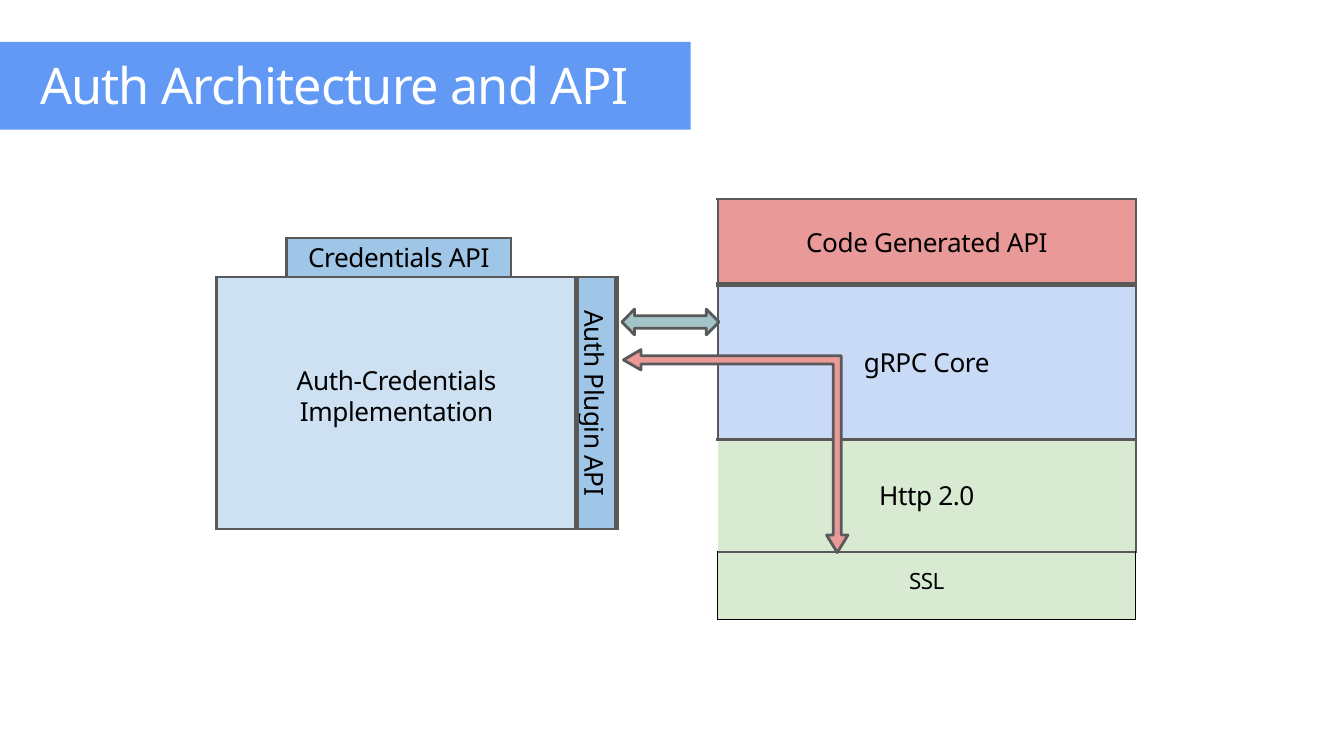
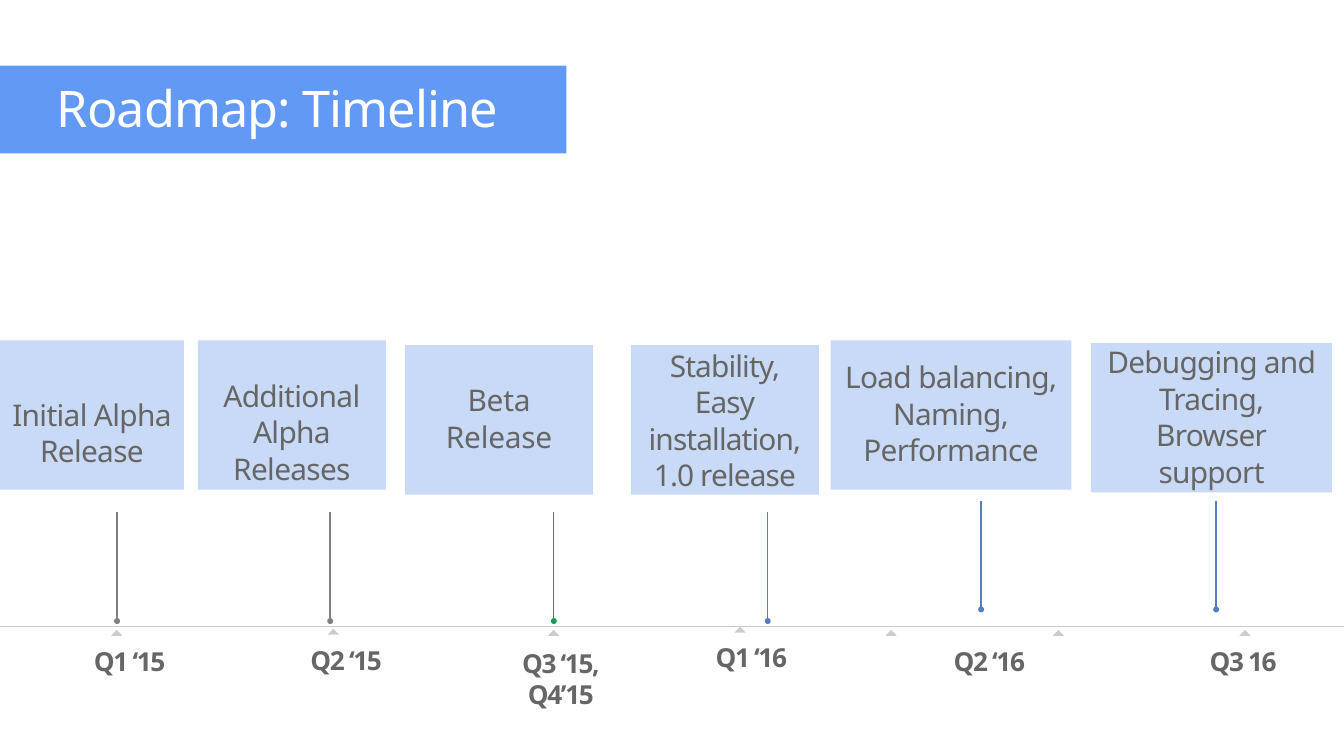
from dataclasses import dataclass

from lxml import etree
from pptx import Presentation
from pptx.dml.color import RGBColor
from pptx.enum.shapes import MSO_CONNECTOR, MSO_SHAPE
from pptx.enum.text import MSO_ANCHOR, PP_ALIGN
from pptx.oxml.ns import qn
from pptx.util import Pt

RECTANGLE, OVAL = MSO_SHAPE.RECTANGLE, MSO_SHAPE.OVAL
TRIANGLE, DOUBLE_ARROW = MSO_SHAPE.ISOSCELES_TRIANGLE, MSO_SHAPE.LEFT_RIGHT_ARROW
STRAIGHT = MSO_CONNECTOR.STRAIGHT
LEFT, CENTER = PP_ALIGN.LEFT, PP_ALIGN.CENTER
MIDDLE = MSO_ANCHOR.MIDDLE
NO_GRID_STYLE = "{2D5ABB26-0587-4C30-8999-92F81FD0307C}"


@dataclass(frozen=True)
class Theme:
    font: str = "Noto Sans"
    title_size: float = 27
    card_size: float = 16
    label_size: float = 14
    small_size: float = 12
    band: str = "4285F4"
    band_alpha: str = "83000"
    white: str = "FFFFFF"
    black: str = "000000"
    text_gray: str = "666666"
    border: str = "595959"
    axis: str = "CCCCCC"
    past: str = "808080"
    present: str = "0F9D58"
    future: str = "547DBE"
    red: str = "EA9999"
    green: str = "D9EAD3"
    teal: str = "A2C4C9"
    periwinkle: str = "C9DAF7"
    sky: str = "9FC5E7"
    pale_sky: str = "CEE1F3"


theme = Theme()


def write(frame, text, size, color, spacing, align=CENTER, bold=False, leading=None):
    """Fill a text frame; spacing is the tracking in points."""
    frame.text = text
    frame.word_wrap = True
    for paragraph in frame.paragraphs:
        paragraph.alignment = align
        if leading:
            paragraph.line_spacing = leading
        if not paragraph.runs:
            paragraph._p.get_or_add_endParaRPr().set("sz", str(int(size * 100)))
        for run in paragraph.runs:
            run.font.name = theme.font
            run.font.size = Pt(size)
            run.font.bold = bold
            run.font.color.rgb = RGBColor.from_string(color)
            run._r.get_or_add_rPr().set("spc", str(round(spacing * 100)))


def add_box(slide, kind, left, top, width, height, fill=None, line=None, weight=0.75):
    """Add a preset shape, or a plain text box if kind is None, without insets."""
    place = Pt(left), Pt(top), Pt(width), Pt(height)
    if kind is None:
        box = slide.shapes.add_textbox(*place)
    else:
        box = slide.shapes.add_shape(kind, *place)
        box.shadow.inherit = False
        box.fill.solid()
        box.fill.fore_color.rgb = RGBColor.from_string(fill)
        if line:
            box.line.color.rgb = RGBColor.from_string(line)
            box.line.width = Pt(weight)
        else:
            box.line.fill.background()
    frame = box.text_frame
    frame.margin_left = frame.margin_right = frame.margin_top = frame.margin_bottom = 0
    frame.vertical_anchor = MSO_ANCHOR.TOP
    return box


prs = Presentation()
prs.slide_width, prs.slide_height = Pt(720), Pt(405)

# Both slides with their title bands
slides = []
for title, band_top, band_width, title_left, title_top in [
    ("Auth Architecture and API", 22.5, 370, 21.5, 29),
    ("Roadmap: Timeline", 35.2, 303.5, 30.5, 41.4),
]:
    slide = prs.slides.add_slide(prs.slide_layouts[6])
    slides.append(slide)
    band = add_box(slide, RECTANGLE, 0, band_top, band_width, 47, theme.band)
    band_color = band.element.spPr.find(".//" + qn("a:srgbClr"))
    etree.SubElement(band_color, qn("a:alpha")).set("val", theme.band_alpha)
    heading = add_box(slide, None, title_left, title_top, band_width - title_left, 35)
    write(heading.text_frame, title, theme.title_size, theme.white, -0.5, LEFT)

architecture, roadmap = slides

# Architecture: the protocol stack and the credentials block
# Cell: row, column, last column, text, size, fill, bottom margin, borders by side
thin, medium, thick = (theme.border, 1.5), (theme.border, 2.25), (theme.border, 3)
hairline = (theme.black, 0.75)
stack_cells = [
    (0, 0, 0, "Code Generated API", theme.label_size, theme.red, 0,
     {"L": thin, "R": thin, "T": thin, "B": thick}),
    (1, 0, 0, "gRPC Core", theme.label_size, theme.periwinkle, 0,
     {"L": thin, "R": thin, "T": thick, "B": medium}),
    (2, 0, 0, "Http 2.0", theme.label_size, theme.green, 0,
     {"R": thin, "T": medium, "B": thin}),
    (3, 0, 0, "SSL", theme.small_size, theme.green, 5,
     {"L": hairline, "R": hairline, "T": thin, "B": hairline}),
]
credentials_cells = [
    (0, 1, 1, "Credentials API", theme.label_size, theme.sky, 0,
     {"L": thin, "R": thin, "T": thin, "B": thin}),
    (0, 2, 3, "", theme.label_size, None, 0, {"L": thin}),
    (1, 0, 2, "Auth-Credentials\vImplementation", theme.label_size, theme.pale_sky, 5,
     {"L": thin, "R": thick, "T": thin, "B": thin}),
    (1, 3, 3, "Auth Plugin API", theme.label_size, theme.sky, 0,
     {"L": thick, "T": thin, "B": thin}),
]
for left, top, widths, heights, cells in [
    (384.5, 106.6, [224], [46, 82.8, 60.4, 36], stack_cells),
    (116, 127.5, [37.5, 120.3, 35.2, 21.6], [21, 135], credentials_cells),
]:
    grid = architecture.shapes.add_table(
        len(heights), len(widths), Pt(left), Pt(top), Pt(sum(widths)), Pt(sum(heights))
    ).table
    grid.first_row = grid.horz_banding = False
    grid._tbl.tblPr.find(qn("a:tableStyleId")).text = NO_GRID_STYLE
    for column, width in zip(grid.columns, widths):
        column.width = Pt(width)
    for row, height in zip(grid.rows, heights):
        row.height = Pt(height)
    for cell in grid.iter_cells():
        cell.margin_left = cell.margin_right = cell.margin_top = cell.margin_bottom = 0
        write(cell.text_frame, "", theme.label_size, theme.black, 0)
    for row, first, last, text, size, fill, bottom, borders in cells:
        cell = grid.cell(row, first)
        if last > first:
            cell.merge(grid.cell(row, last))
        leading = Pt(16.5) if "\v" in text else None
        write(cell.text_frame, text, size, theme.black, -0.22, leading=leading)
        cell.margin_bottom = Pt(bottom)
        cell.vertical_anchor = MIDDLE
        properties = cell._tc.get_or_add_tcPr()
        for side, (color, weight) in borders.items():
            edge = etree.SubElement(properties, qn("a:ln" + side), w=str(Pt(weight)))
            edge_fill = etree.SubElement(edge, qn("a:solidFill"))
            etree.SubElement(edge_fill, qn("a:srgbClr"), val=color)
        if fill:
            cell.fill.solid()
            cell.fill.fore_color.rgb = RGBColor.from_string(fill)
        if text == "Auth Plugin API":
            properties.set("vert", "vert")

# Architecture: plugin to core, and the bent arrow from plugin to SSL
core_link = add_box(architecture, DOUBLE_ARROW, 333.2, 165.6, 52, 13.8,
                    theme.teal, theme.border, 1.5)
core_link.adjustments[0] = 0.48
core_link.adjustments[1] = 0.49

bend = [(448.6, 296), (442.8, 286.6), (446.4, 286.6), (446.4, 195), (343.4, 195),
        (343.4, 198.2), (334, 192.8), (343.4, 187.3), (343.4, 190.6), (450.7, 190.6),
        (450.7, 286.6), (454.3, 286.6)]
points = [(Pt(x), Pt(y)) for x, y in bend]
outline = architecture.shapes.build_freeform(*points[0], scale=1.0)
outline.add_line_segments(points[1:], close=True)
ssl_link = outline.convert_to_shape()
ssl_link.shadow.inherit = False
ssl_link.fill.solid()
ssl_link.fill.fore_color.rgb = RGBColor.from_string(theme.red)
ssl_link.line.color.rgb = RGBColor.from_string(theme.border)
ssl_link.line.width = Pt(1.5)

# Roadmap: release cards (left, top, width, text drop, tracking, text)
card_height = 80
for left, top, width, drop, tracking, text in [
    (0, 182.4, 98.6, 29.5, -0.35, "Initial Alpha\vRelease"),
    (106, 182.4, 100.8, 19.4, -0.35, "Additional\vAlpha\vReleases"),
    (217, 185, 100.8, 19.4, -0.1, "Beta\vRelease"),
    (338, 185, 100.8, 0.7, -0.45, "Stability,\vEasy\vinstallation,\n1.0 release"),
    (445, 182.4, 129, 9.4, -0.35, "Load balancing,\vNaming,\vPerformance"),
    (584.6, 183.8, 129, 0, -0.4, "Debugging and\vTracing,\vBrowser\vsupport"),
]:
    card = add_box(roadmap, RECTANGLE, left, top, width, card_height, theme.periwinkle)
    card.text_frame.margin_top = Pt(drop)
    write(card.text_frame, text, theme.card_size, theme.text_gray, tracking, leading=1.02)

# Roadmap: time axis and pins
axis_y, stem_length, dot = 335.5, 57, 2.4
lines = [(0, axis_y, 720, axis_y, theme.axis)]
for x, top, color in [
    (62.7, 274.5, theme.past),
    (176.9, 274.5, theme.past),
    (296.7, 274.5, theme.present),
    (411.3, 274.5, theme.future),
    (525.6, 268.3, theme.future),
    (651.5, 268.3, theme.future),
]:
    stem_end = top + stem_length
    lines.append((x, stem_end, x, top, color))
    add_box(roadmap, OVAL, x - dot / 2, stem_end, dot, dot, color, color)
for x1, y1, x2, y2, color in lines:
    line = roadmap.shapes.add_connector(STRAIGHT, Pt(x1), Pt(y1), Pt(x2), Pt(y2))
    line.line.color.rgb = RGBColor.from_string(color)
    line.line.width = Pt(0.75)
    etree.SubElement(line._element.spPr, qn("a:effectLst"))

# Roadmap: tick marks under the axis
for x, top in [(62.6, 337.4), (178.6, 336.8), (296.6, 337.4), (396.5, 335.7),
               (477.4, 337.4), (567, 337.4), (667, 337.4)]:
    add_box(roadmap, TRIANGLE, x - 3, top, 6, 3.2, theme.axis)

# Roadmap: quarter labels
for left, top, width, text in [
    (47.5, 345.6, 44, "Q1 ‘15"),
    (163.5, 345, 44, "Q2 ‘15"),
    (276.5, 347, 48, "Q3 ‘15,\vQ4’15"),
    (380.5, 343.5, 44, "Q1 ‘16"),
    (508, 345.6, 44, "Q2 ‘16"),
    (645.5, 345.6, 41, "Q3 16"),
]:
    stacked = "\v" in text
    quarter = add_box(roadmap, None, left, top, width, 35 if stacked else 18.5)
    write(quarter.text_frame, text, theme.label_size, theme.text_gray, -0.75, bold=True,
          leading=Pt(16.5) if stacked else None)

prs.save("out.pptx")
